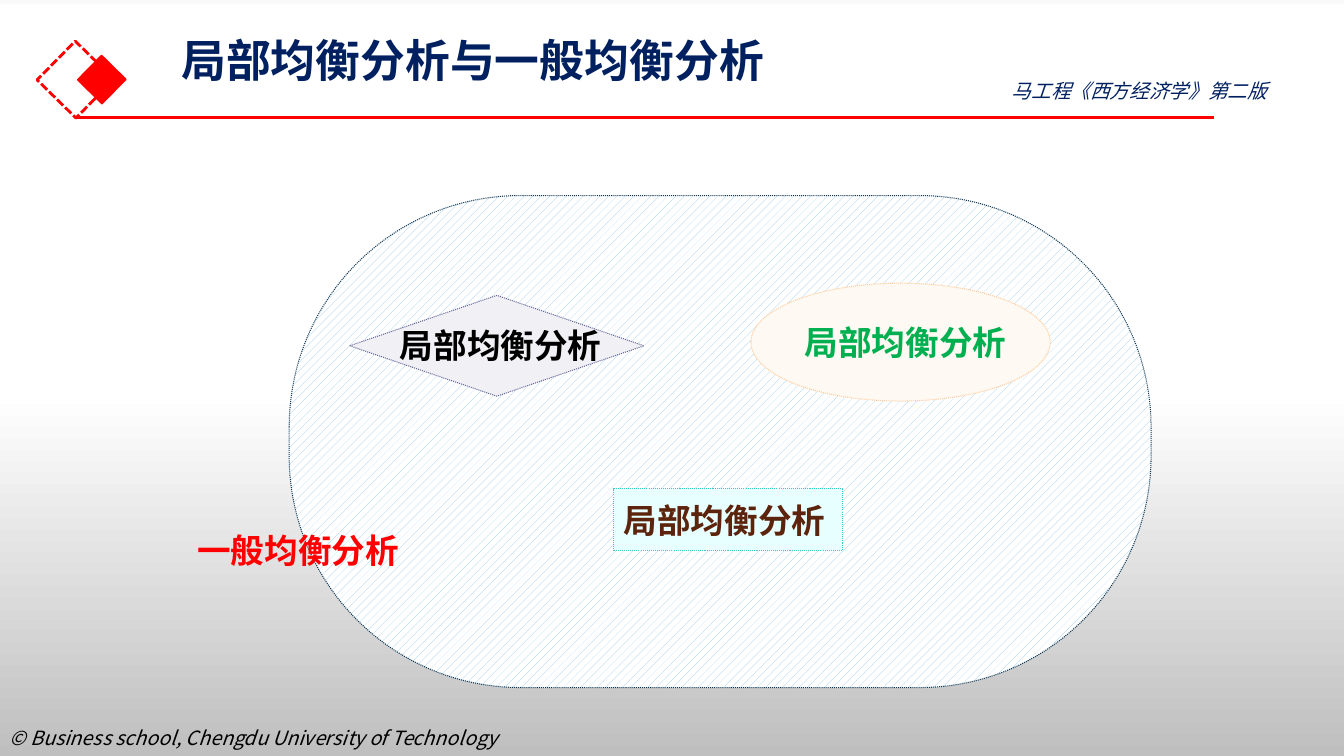
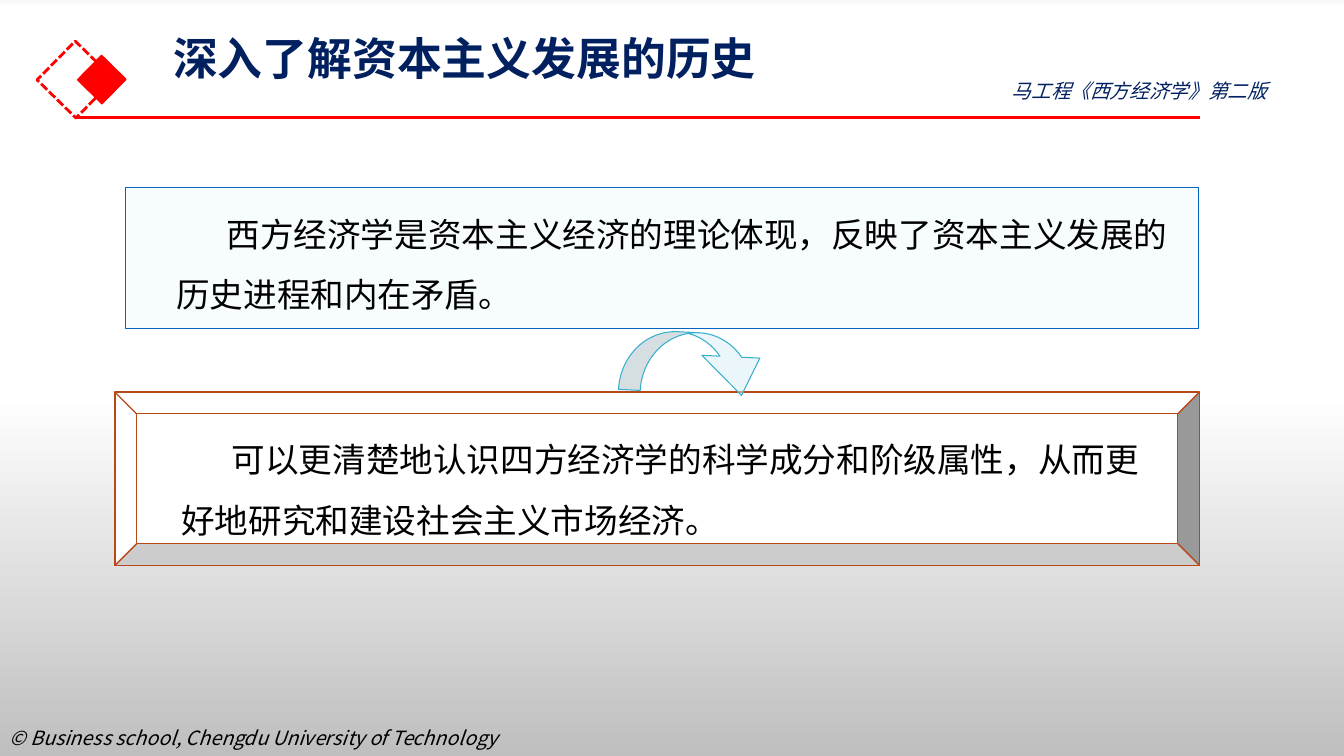
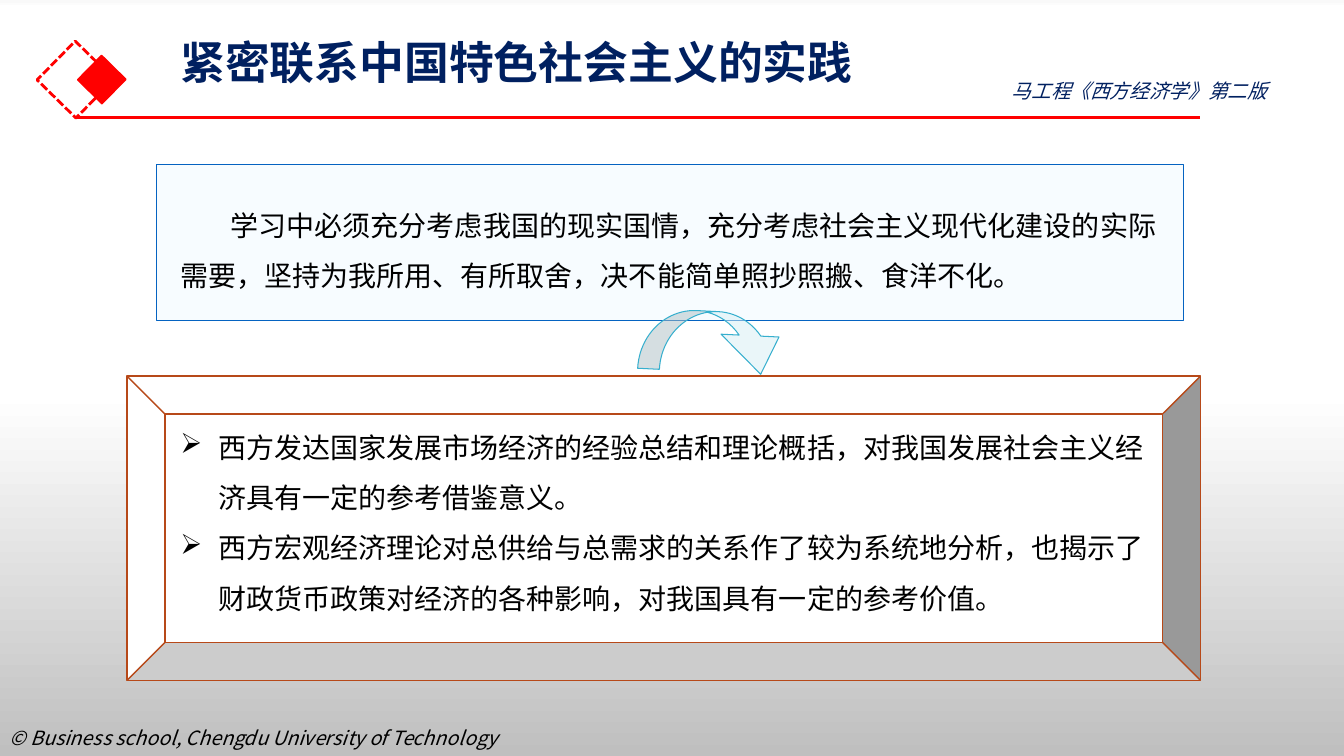
from pptx import Presentation
from pptx.dml.color import RGBColor
from pptx.enum.dml import MSO_LINE, MSO_PATTERN
from pptx.enum.shapes import MSO_CONNECTOR, MSO_SHAPE
from pptx.enum.text import MSO_ANCHOR, PP_ALIGN
from pptx.oxml import parse_xml
from pptx.oxml.ns import nsdecls, qn
from pptx.util import Pt
from lxml.etree import SubElement

BLACK = RGBColor(0x00, 0x00, 0x00)
WHITE = RGBColor(0xFF, 0xFF, 0xFF)
RED = RGBColor(0xFF, 0x00, 0x00)
GREEN = RGBColor(0x00, 0xB0, 0x50)
BROWN = RGBColor(0x5C, 0x24, 0x0C)
NAVY = RGBColor(0x00, 0x20, 0x60)
DEEP_BLUE = RGBColor(0x0F, 0x37, 0x54)
SKY = RGBColor(0x94, 0xC8, 0xED)
AQUA = RGBColor(0xE7, 0xFF, 0xFF)
TEAL = RGBColor(0x33, 0xCC, 0xCC)
CREAM = RGBColor(0xFF, 0xF9, 0xF3)
PEACH = RGBColor(0xFF, 0xCC, 0x99)
LAVENDER = RGBColor(0xF1, 0xF1, 0xF5)
VIOLET = RGBColor(0x66, 0x66, 0x99)
ICE = RGBColor(0xF7, 0xFC, 0xFF)
BLUE = RGBColor(0x05, 0x63, 0xC1)
RUST = RGBColor(0xB7, 0x49, 0x19)
PALE_CYAN = RGBColor(0xD7, 0xEF, 0xF5)
CYAN = RGBColor(0x36, 0xAF, 0xCE)
NEAR_WHITE = RGBColor(0xF9, 0xF9, 0xF9)
GREY = RGBColor(0xBF, 0xBF, 0xBF)

BACKDROP = ((0, NEAR_WHITE), (1, WHITE), (52, WHITE), (100, GREY))
FONT = "Noto Sans CJK SC"
SUBTITLE = "马工程《西方经济学》第二版"
COPYRIGHT = "© Business school, Chengdu University of Technology"
PARTIAL = "局部均衡分析"
GENERAL = "一般均衡分析"


class Deck:
    def __init__(self):
        self.prs = Presentation()
        self.prs.slide_width, self.prs.slide_height = Pt(960), Pt(540)
        self.slide = None
        self.paint_master()

    def paint_master(self):
        master = self.prs.slide_master
        fill = master.background.fill
        fill.gradient()
        fill.gradient_angle = 270
        stops = master.element.find(".//" + qn("a:gsLst"))
        for stop in list(stops):
            stops.remove(stop)
        for percent, color in BACKDROP:
            stops.append(parse_xml(
                f'<a:gs {nsdecls("a")} pos="{percent * 1000}">'
                f'<a:srgbClr val="{color}"/></a:gs>'))

    def start(self, title, left, top, rule_end=856.8):
        self.slide = self.prs.slides.add_slide(self.prs.slide_layouts[6])
        self.text(COPYRIGHT, (0, 514.8, 456.5, 40.3), 14, italic=True)
        outline = self.shape(MSO_SHAPE.RECTANGLE, (34.6, 37.4, 38.9, 38.9),
                             None, RED, 2, MSO_LINE.SQUARE_DOT)
        accent = self.shape(MSO_SHAPE.RECTANGLE, (60.5, 44.6, 24.5, 24.5),
                            RED, RED, 1)
        outline.rotation = accent.rotation = 314.5
        self.rule(54, rule_end, 84.2)
        heading = self.text(title, (left, top, 828, 68.4), 32, NAVY,
                            bold=True, spacing=0.85)
        heading.text_frame.margin_top = 0
        self.text(SUBTITLE, (715.7, 52.6, 233.3, 24.5), 14, NAVY, italic=True)

    def rule(self, start, end, y):
        line = self.slide.shapes.add_connector(
            MSO_CONNECTOR.STRAIGHT, Pt(start), Pt(y), Pt(end), Pt(y))
        line.line.color.rgb = RED
        line.line.width = Pt(2.25)
        SubElement(line._element.spPr, qn("a:effectLst"))

    def shape(self, preset, box, fill, line, width=0.75, dash=None):
        shape = self.slide.shapes.add_shape(preset, *map(Pt, box))
        shape.shadow.inherit = False
        if fill is None:
            shape.fill.background()
        else:
            shape.fill.solid()
            shape.fill.fore_color.rgb = fill
        shape.line.color.rgb = line
        shape.line.width = Pt(width)
        if dash is not None:
            shape.line.dash_style = dash
        return shape

    def dotted(self, preset, box, fill, line):
        return self.shape(preset, box, fill, line, dash=MSO_LINE.ROUND_DOT)

    def text(self, content, box, size, color=BLACK, **style):
        holder = self.slide.shapes.add_textbox(*map(Pt, box))
        holder.text_frame.word_wrap = True
        self.set_text(holder, content, size, color, **style)
        return holder

    def set_text(self, holder, content, size, color, bold=False, italic=False,
                 spacing=None, margin=0, indent=0, bullet=None):
        holder.text_frame.text = content
        for paragraph in holder.text_frame.paragraphs:
            paragraph.alignment = PP_ALIGN.LEFT
            if spacing:
                paragraph.line_spacing = spacing
            if indent:
                props = paragraph._p.get_or_add_pPr()
                props.set("marL", str(Pt(margin)))
                props.set("indent", str(Pt(indent)))
                if bullet:
                    SubElement(props, qn("a:buChar")).set("char", bullet)
            for run in paragraph.runs:
                run.font.size = Pt(size)
                run.font.bold = bold
                run.font.italic = italic
                run.font.color.rgb = color
                run.font.name = FONT
                SubElement(run._r.rPr, qn("a:ea")).set("typeface", FONT)

    def label(self, holder, content, color):
        self.set_text(holder, content, 24, color, bold=True)
        self.center(holder)

    def center(self, holder):
        holder.text_frame.word_wrap = False
        holder.text_frame.vertical_anchor = MSO_ANCHOR.MIDDLE

    def body(self, content, box, size):
        self.text(content, box, size, spacing=1.5, indent=36)

    def bullets(self, items, box, size):
        self.text("\n".join(items), box, size, spacing=1.5,
                  margin=27, indent=-27, bullet="➢")

    def panel(self, box):
        self.shape(MSO_SHAPE.RECTANGLE, box, ICE, BLUE)

    def bevel(self, box):
        self.shape(MSO_SHAPE.BEVEL, box, WHITE, RUST, 1)

    def turn_arrow(self, left, top):
        arrow = self.shape(MSO_SHAPE.CURVED_UP_ARROW, (left, top, 108.7, 43.2),
                           PALE_CYAN, CYAN)
        for index, value in enumerate((0.36, 0.96, 0.63)):
            arrow.adjustments[index] = value
        arrow.rotation = 182.8
        props = arrow._element.spPr
        props.find(qn("a:xfrm")).set("flipH", "1")
        color = props.find(qn("a:solidFill")).find(qn("a:srgbClr"))
        SubElement(color, qn("a:alpha")).set("val", "50000")


def equilibrium(deck):
    deck.start("局部均衡分析与一般均衡分析", 122.4, 29.5, 866.9)
    economy = deck.dotted(MSO_SHAPE.ROUNDED_RECTANGLE,
                          (206.6, 139.7, 615.6, 351.4), WHITE, DEEP_BLUE)
    economy.adjustments[0] = 0.47
    economy.fill.patterned()
    economy.fill.pattern = MSO_PATTERN.PERCENT_20
    economy.fill.fore_color.rgb = SKY
    economy.fill.back_color.rgb = WHITE
    for preset, box, fill, line, color in (
            (MSO_SHAPE.RECTANGLE, (438.5, 349.2, 163.4, 43.9), AQUA, TEAL, BROWN),
            (MSO_SHAPE.OVAL, (536.4, 202.3, 213.8, 84.2), CREAM, PEACH, GREEN)):
        deck.label(deck.dotted(preset, box, fill, line), PARTIAL, color)
    deck.dotted(MSO_SHAPE.DIAMOND, (249.8, 211, 210.2, 72), LAVENDER, VIOLET)
    deck.center(deck.text(GENERAL, (133.9, 365.8, 216, 54), 24, RED, bold=True))
    deck.text(PARTIAL, (278.6, 228.2, 181.4, 65.5), 24, bold=True)


def history(deck):
    deck.start("深入了解资本主义发展的历史", 116.6, 28.1)
    deck.panel((90, 133.9, 766.1, 100.8))
    deck.bevel((82.1, 280.1, 774.7, 123.8))
    deck.body("西方经济学是资本主义经济的理论体现，反映了资本主义发展的历史进程和内在矛盾。",
              (118.8, 134.6, 724.3, 89.3), 24)
    deck.body("可以更清楚地认识四方经济学的科学成分和阶级属性，从而更好地研究和建设社会主义市场经济。",
              (122.4, 295.9, 718.6, 89.3), 24)
    deck.turn_arrow(442.8, 237.6)


def practice(deck):
    deck.start("紧密联系中国特色社会主义的实践", 121.7, 31)
    deck.bevel((90.7, 268.6, 766.8, 217.4))
    deck.panel((111.6, 117.4, 733.7, 111.6))
    deck.body("学习中必须充分考虑我国的现实国情，充分考虑社会主义现代化建设的实际需要，"
              "坚持为我所用、有所取舍，决不能简单照抄照搬、食洋不化。",
              (121.7, 133.2, 724.3, 79.9), 20)
    deck.bullets((
        "西方发达国家发展市场经济的经验总结和理论概括，对我国发展社会主义经济具有一定的参考借鉴意义。",
        "西方宏观经济理论对总供给与总需求的关系作了较为系统地分析，"
        "也揭示了财政货币政策对经济的各种影响，对我国具有一定的参考价值。",
    ), (121.7, 291.6, 718.6, 152.6), 20)
    deck.turn_arrow(456.5, 222.5)


def main():
    deck = Deck()
    for build in (equilibrium, history, practice):
        build(deck)
    deck.prs.save("out.pptx")


if __name__ == "__main__":
    main()
